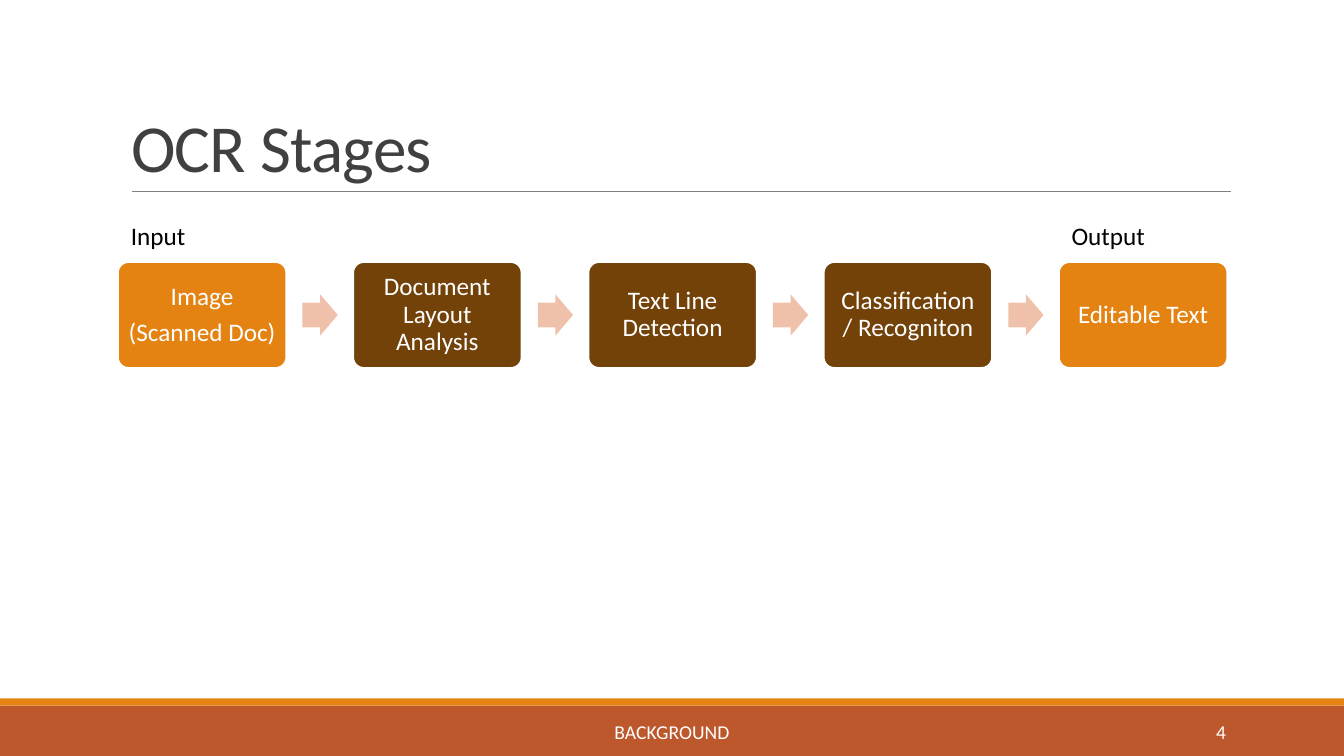
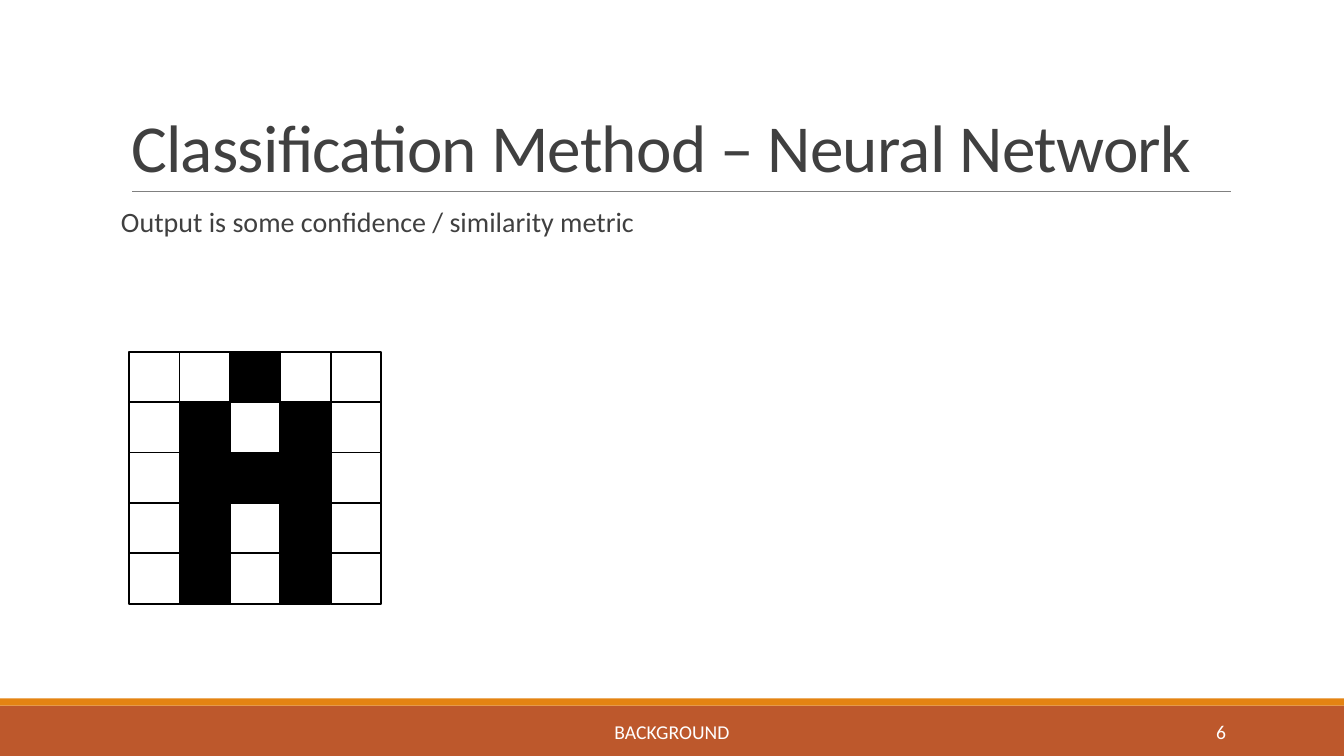
from lxml.etree import SubElement
from pptx import Presentation
from pptx.dml.color import RGBColor
from pptx.enum.shapes import MSO_CONNECTOR, MSO_SHAPE as Kind
from pptx.enum.text import MSO_ANCHOR as Anchor, MSO_AUTO_SIZE as Fit, PP_ALIGN as Align
from pptx.oxml.ns import qn
from pptx.util import Inches, Pt

HUES = {
    "rust": "BD582C", "gold": "E48312", "brown": "724209", "peach": "EFC1AB",
    "gray": "808080", "ink": "404040", "black": "000000", "white": "FFFFFF",
}
RGB = {name: RGBColor.from_string(code) for name, code in HUES.items()}


def write(shape, text, size=18, hue="black", align=Align.LEFT, anchor=Anchor.TOP,
          lead=1, after=0, pads=(0.1, 0.05), track=0):
    frame = shape.text_frame
    frame.text = text
    frame.word_wrap = True
    frame.auto_size = Fit.NONE
    frame.vertical_anchor = anchor
    frame.margin_left = frame.margin_right = Inches(pads[0])
    frame.margin_top = frame.margin_bottom = Inches(pads[1])
    for para in frame.paragraphs:
        para.alignment = align
        para.line_spacing = lead
        para.space_before = Pt(0)
        para.space_after = Pt(after)
        for run in para.runs:
            run.font.name = "Calibri"
            run.font.size = Pt(size)
            run.font.color.rgb = RGB[hue]
            if track:
                run.font._element.set("spc", str(track))


def draw(slide, kind, box, fill, line=None):
    shape = slide.shapes.add_shape(kind, *map(Inches, box))
    shape.shadow.inherit = False
    shape.fill.solid()
    shape.fill.fore_color.rgb = RGB[fill]
    if line:
        shape.line.color.rgb = RGB[line]
        shape.line.width = Pt(1.25)
    else:
        shape.line.fill.background()
    return shape


deck = Presentation()
deck.slide_width = Inches(13.33)
deck.slide_height = Inches(7.5)
stages = deck.slides.add_slide(deck.slide_layouts[5])
neural = deck.slides.add_slide(deck.slide_layouts[1])

for slide, title, number in (
    (stages, "OCR Stages", "4"),
    (neural, "Classification Method – Neural Network", "6"),
):
    draw(slide, Kind.RECTANGLE, (0, 7, 13.33, 0.5), "rust")
    draw(slide, Kind.RECTANGLE, (0, 6.93, 13.33, 0.07), "gold")
    rule = slide.shapes.add_connector(
        MSO_CONNECTOR.STRAIGHT, Inches(1.31), Inches(1.9), Inches(12.21), Inches(1.9))
    rule.line.color.rgb = RGB["gray"]
    rule.line.width = Pt(0.5)
    SubElement(rule._element.spPr, qn("a:effectLst"))
    head = slide.shapes.title
    head.left, head.top, head.width, head.height = map(Inches, (1.2, 0.31, 11, 1.59))
    write(head, title, size=48, hue="ink", anchor=Anchor.BOTTOM, lead=0.85, track=-50)
    for text, left, width, align in (
        ("BACKGROUND", 4.03, 5.27, Align.CENTER),
        (number, 10.83, 1.43, Align.RIGHT),
    ):
        foot = slide.shapes.add_textbox(*map(Inches, (left, 7.06, width, 0.4)))
        write(foot, text, size=14, hue="white", align=align, anchor=Anchor.MIDDLE)

steps = (
    ("Image\n(Scanned Doc)", "gold"),
    ("Document Layout Analysis", "brown"),
    ("Text Line Detection", "brown"),
    ("Classification / Recogniton", "brown"),
    ("Editable Text", "gold"),
)
for i, (text, fill) in enumerate(steps):
    left = 1.17 + i * 7 / 3
    card = draw(stages, Kind.ROUNDED_RECTANGLE, (left, 2.6, 1.67, 1.05), fill, "white")
    card.adjustments[0] = 0.1
    write(card, text, hue="white", align=Align.CENTER, anchor=Anchor.MIDDLE,
          lead=0.9, after=6.3, pads=(0.07, 0.07))
    if i < len(steps) - 1:
        arrow = draw(stages, Kind.RIGHT_ARROW, (left + 1.83, 2.92, 0.35, 0.41), "peach")
        arrow.adjustments[0] = 0.6
        arrow.adjustments[1] = 0.5

for text, left in (("Input", 1.2), ("Output", 10.53)):
    label = stages.shapes.add_textbox(*map(Inches, (left, 2.14, 1.6, 0.4)))
    write(label, text)

body = neural.placeholders[1]
body.left, body.top, body.width, body.height = map(Inches, (1.2, 2.02, 11, 4.4))
write(body, "Output is some confidence / similarity metric", size=20, hue="ink",
      lead=0.9, after=2, pads=(0, 0.05))
props = body.text_frame.paragraphs[0]._p.get_or_add_pPr()
props.set("marL", "0")
props.set("indent", "0")
SubElement(props, qn("a:buNone"))

glyph = ("..#..", ".#.#.", ".###.", ".#.#.", ".#.#.")
side = 0.5
for row, marks in enumerate(glyph):
    for col, mark in enumerate(marks):
        box = (1.28 + col * side, 3.49 + row * side, side, side)
        draw(neural, Kind.RECTANGLE, box, "black" if mark == "#" else "white", "black")

deck.save("out.pptx")
